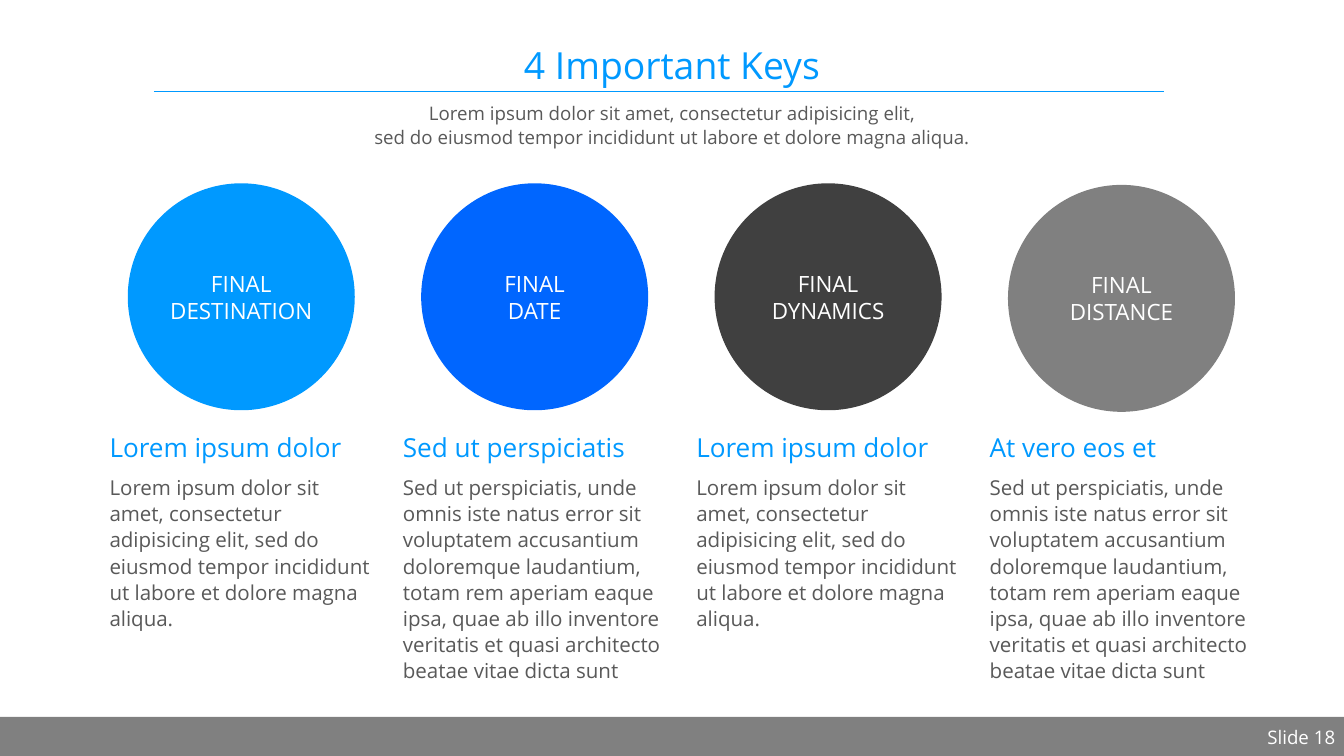
from dataclasses import dataclass
from typing import Optional, Union

from lxml import etree
from pptx import Presentation
from pptx import util as u
from pptx.dml.color import RGBColor
from pptx.enum import shapes, text
from pptx.oxml.ns import qn


@dataclass(frozen=True)
class Theme:
    font: str = "Open Sans"
    accent: str = "0099FF"
    blue: str = "0066FF"
    dark: str = "404040"
    gray: str = "808080"
    body: str = "595959"
    white: str = "FFFFFF"
    title_size: int = 40
    heading_size: int = 28
    circle_size: int = 24
    body_size: int = 22
    small_size: int = 20


@dataclass(frozen=True)
class Box:
    left: float
    top: float
    width: float
    height: float

    def lengths(self) -> tuple:
        return tuple(u.Cm(value) for value in (self.left, self.top, self.width, self.height))


@dataclass(frozen=True)
class TextStyle:
    size: int
    color: str
    align: text.PP_ALIGN = text.PP_ALIGN.LEFT
    anchor: text.MSO_ANCHOR = text.MSO_ANCHOR.TOP
    line_spacing: Optional[Union[float, u.Length]] = None
    space_before: int = 0


@dataclass(frozen=True)
class Key:
    label: str
    color: str
    heading: str
    body: str
    circle_top: float = 6.93


THEME = Theme()
CENTER = text.PP_ALIGN.CENTER
BOTTOM = text.MSO_ANCHOR.BOTTOM

TITLE = TextStyle(THEME.title_size, THEME.accent, CENTER, BOTTOM, 0.9)
SUBTITLE = TextStyle(THEME.small_size, THEME.body, CENTER, line_spacing=1.1, space_before=15)
HEADING = TextStyle(THEME.heading_size, THEME.accent, anchor=BOTTOM, line_spacing=0.9, space_before=15)
BODY = TextStyle(THEME.body_size, THEME.body, line_spacing=u.Pt(28), space_before=15)
CIRCLE = TextStyle(THEME.circle_size, THEME.white, CENTER, text.MSO_ANCHOR.MIDDLE)
PAGE_NUMBER = TextStyle(THEME.small_size, THEME.white, text.PP_ALIGN.RIGHT)

SLIDE_WIDTH, SLIDE_HEIGHT = 50.8, 28.58
COLUMN_LEFT, COLUMN_STEP, COLUMN_WIDTH = 3.89, 11.09, 10.49
CIRCLE_INDENT, CIRCLE_DIAMETER = 0.94, 8.58

LOREM = ("Lorem ipsum dolor sit amet, consectetur adipisicing elit, sed do eiusmod "
         "tempor incididunt ut labore et dolore magna aliqua.")
PERSPICIATIS = ("Sed ut perspiciatis, unde omnis iste natus error sit voluptatem accusantium "
                "doloremque laudantium, totam rem aperiam eaque ipsa, quae ab illo inventore "
                "veritatis et quasi architecto beatae vitae dicta sunt")

KEYS = (
    Key("FINAL\nDESTINATION", THEME.accent, "Lorem ipsum dolor", LOREM),
    Key("FINAL\nDATE", THEME.blue, "Sed ut perspiciatis", PERSPICIATIS),
    Key("FINAL\nDYNAMICS", THEME.dark, "Lorem ipsum dolor", LOREM),
    Key("FINAL\nDISTANCE", THEME.gray, "At vero eos et", PERSPICIATIS, circle_top=6.99),
)


def write(shape, content: str, style: TextStyle) -> None:
    frame = shape.text_frame
    frame.word_wrap = True
    frame.vertical_anchor = style.anchor
    paragraph = frame.paragraphs[0]
    paragraph.alignment = style.align
    paragraph.space_before = u.Pt(style.space_before)
    if style.line_spacing is not None:
        paragraph.line_spacing = style.line_spacing
    for index, line in enumerate(content.split("\n")):
        if index:
            paragraph.add_line_break()
        run = paragraph.add_run()
        run.text = line
        run.font.name = THEME.font
        run.font.size = u.Pt(style.size)
        run.font.color.rgb = RGBColor.from_string(style.color)


def add_text(slide, box: Box, content: str, style: TextStyle) -> None:
    write(slide.shapes.add_textbox(*box.lengths()), content, style)


def add_filled(slide, kind: shapes.MSO_SHAPE, box: Box, color: str):
    shape = slide.shapes.add_shape(kind, *box.lengths())
    shape.shadow.inherit = False
    shape.fill.solid()
    shape.fill.fore_color.rgb = RGBColor.from_string(color)
    shape.line.fill.background()
    return shape


def add_rule(slide, left: float, right: float, top: float) -> None:
    rule = slide.shapes.add_connector(
        shapes.MSO_CONNECTOR.STRAIGHT, u.Cm(left), u.Cm(top), u.Cm(right), u.Cm(top))
    rule.line.color.rgb = RGBColor.from_string(THEME.accent)
    rule.line.width = u.Pt(0.5)
    etree.SubElement(rule._element.spPr, qn("a:effectLst"))


def add_key(slide, key: Key, left: float) -> None:
    add_text(slide, Box(left, 15.88, COLUMN_WIDTH, 1.75), key.heading, HEADING)
    add_text(slide, Box(left, 17.78, COLUMN_WIDTH, 7.95), key.body, BODY)
    circle_box = Box(left + CIRCLE_INDENT, key.circle_top, CIRCLE_DIAMETER, CIRCLE_DIAMETER)
    circle = add_filled(slide, shapes.MSO_SHAPE.OVAL, circle_box, key.color)
    write(circle, key.label, CIRCLE)


def main() -> None:
    presentation = Presentation()
    presentation.slide_width = u.Cm(SLIDE_WIDTH)
    presentation.slide_height = u.Cm(SLIDE_HEIGHT)
    slide = presentation.slides.add_slide(presentation.slide_layouts[6])

    add_filled(slide, shapes.MSO_SHAPE.RECTANGLE, Box(0, 27.1, SLIDE_WIDTH, 1.48), THEME.gray)
    add_rule(slide, 5.82, 43.99, 3.45)
    add_text(slide, Box(39.29, 27.31, 11.43, 0.94), "Slide 18", PAGE_NUMBER)
    add_text(slide, Box(0.89, 1.3, 49.02, 2.13), "4 Important Keys", TITLE)
    add_text(slide, Box(0.89, 3.63, 49.02, 2.57),
             "Lorem ipsum dolor sit amet, consectetur adipisicing elit,\n"
             "sed do eiusmod tempor incididunt ut labore et dolore magna aliqua.", SUBTITLE)
    for column, key in enumerate(KEYS):
        add_key(slide, key, COLUMN_LEFT + column * COLUMN_STEP)

    presentation.save("out.pptx")


if __name__ == "__main__":
    main()
